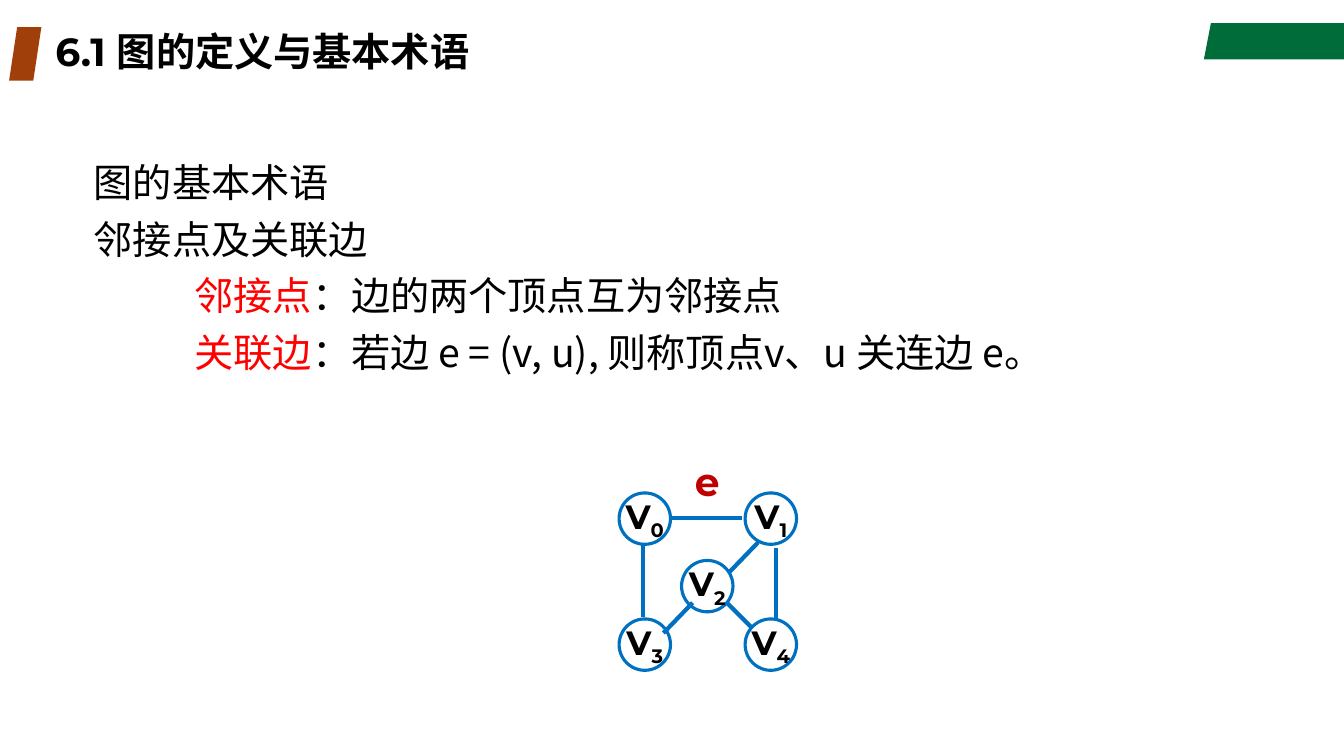
"""Build the slide on adjacent vertices and incident edges of a graph."""
from dataclasses import dataclass

from lxml.etree import SubElement
from pptx import Presentation
from pptx.dml.color import RGBColor
from pptx.enum.shapes import MSO_CONNECTOR as CONN, MSO_SHAPE as SHAPE
from pptx.enum.text import MSO_ANCHOR as ANCHOR, MSO_AUTO_SIZE as FIT, PP_ALIGN as ALIGN
from pptx.oxml.ns import qn
from pptx.util import Inches, Pt

BLACK = RGBColor(0x00, 0x00, 0x00)
RED = RGBColor(0xFF, 0x00, 0x00)
CRIMSON = RGBColor(0xC0, 0x00, 0x00)
BLUE = RGBColor(0x00, 0x70, 0xC0)
GREEN = RGBColor(0x00, 0x6C, 0x39)
BROWN = RGBColor(0xA1, 0x3F, 0x0B)
LATIN, CJK = "Montserrat", "Noto Sans CJK SC"
NODE_SIZE = 0.51


@dataclass
class Line:
    term: str
    text: str
    indent: float = 0


@dataclass
class Node:
    index: str
    left: float
    top: float


@dataclass
class Edge:
    x1: float
    y1: float
    x2: float
    y2: float


LINES = [
    Line("", "图的基本术语"),
    Line("", "邻接点及关联边"),
    Line("邻接点", "：边的两个顶点互为邻接点", 1),
    Line("关联边", "：若边 e = (v, u), 则称顶点v、u 关连边 e。", 1),
]
NODES = [
    Node("0", 6.14, 4.89),
    Node("1", 7.39, 4.89),
    Node("2", 6.76, 5.56),
    Node("3", 6.14, 6.14),
    Node("4", 7.39, 6.14),
]
EDGES = [
    Edge(6.38, 5.4, 6.38, 6.12),
    Edge(6.67, 5.14, 7.36, 5.14),
    Edge(7.7, 5.44, 7.7, 6.16),
    Edge(6.87, 5.98, 6.58, 6.28),
    Edge(7.52, 5.38, 7.23, 5.68),
    Edge(7.2, 5.97, 7.46, 6.23),
]


def place(sp, left: float, top: float, width: float, height: float) -> None:
    sp.left, sp.top = Inches(left), Inches(top)
    sp.width, sp.height = Inches(width), Inches(height)


def style(r, size: int, color: RGBColor, font: str = LATIN, bold: bool = True) -> None:
    r.font.size, r.font.bold, r.font.name = Pt(size), bold, font
    r.font.color.rgb = color
    SubElement(r.font._element, qn("a:ea")).set("typeface", CJK)


def paint(sp, color: RGBColor) -> None:
    sp.fill.solid()
    sp.fill.fore_color.rgb = color
    sp.line.fill.background()
    sp.shadow.inherit = False


def add_decor(shapes) -> None:
    builder = shapes.build_freeform(Inches(12.01), Inches(0.23))
    corners = [(13.33, 0.23), (13.33, 0.59), (11.94, 0.59)]
    builder.add_line_segments([(Inches(x), Inches(y)) for x, y in corners])
    paint(builder.convert_to_shape(), GREEN)
    tab = shapes.add_shape(SHAPE.PARALLELOGRAM, Inches(0.09), Inches(0.27), Inches(0.32), Inches(0.53))
    tab.adjustments[0] = 0.25
    paint(tab, BROWN)


def fill_title(sp) -> None:
    place(sp, 0.45, 0.27, 9.45, 0.53)
    tf = sp.text_frame
    tf.text = "6.1 图的定义与基本术语"
    tf.auto_size, tf.vertical_anchor = FIT.NONE, ANCHOR.MIDDLE
    p = tf.paragraphs[0]
    p.alignment, p.line_spacing = ALIGN.LEFT, 0.9
    style(p.runs[0], 28, BLACK)


def fill_body(sp) -> None:
    place(sp, 0.83, 1.43, 11.5, 2.91)
    tf = sp.text_frame
    tf.auto_size = FIT.NONE
    for i, line in enumerate(LINES):
        p = tf.paragraphs[0] if i == 0 else tf.add_paragraph()
        p.line_spacing, p.space_before = 1.2, Pt(0)
        pPr = p._p.get_or_add_pPr()
        pPr.set("marL", str(Inches(line.indent)))
        pPr.set("indent", "0")
        SubElement(pPr, qn("a:buNone"))
        for text, color in ((line.term, RED), (line.text, BLACK)):
            if text:
                r = p.add_run()
                r.text = text
                style(r, 28, color, CJK, False)


def add_edge(shapes, edge: Edge) -> None:
    ends = [Inches(v) for v in (edge.x1, edge.y1, edge.x2, edge.y2)]
    line = shapes.add_connector(CONN.STRAIGHT, *ends)
    line.line.color.rgb, line.line.width = BLUE, Pt(3)
    SubElement(line._element.spPr, qn("a:effectLst"))


def add_node(shapes, node: Node) -> None:
    size = Inches(NODE_SIZE)
    sp = shapes.add_shape(SHAPE.OVAL, Inches(node.left), Inches(node.top), size, size)
    sp.fill.background()
    sp.line.color.rgb, sp.line.width = BLUE, Pt(2.25)
    sp.shadow.inherit = False
    tf = sp.text_frame
    tf.word_wrap, tf.vertical_anchor = False, ANCHOR.MIDDLE
    p = tf.paragraphs[0]
    p.alignment = ALIGN.CENTER
    for text in ("V", node.index):
        r = p.add_run()
        r.text = text
        style(r, 24, BLACK)
    p.runs[1].font._element.set("baseline", "-25000")


def add_edge_label(shapes) -> None:
    sp = shapes.add_textbox(Inches(6.77), Inches(4.49), Inches(0.49), Inches(0.57))
    tf = sp.text_frame
    tf.text = "e"
    tf.word_wrap = True
    p = tf.paragraphs[0]
    p.alignment = ALIGN.CENTER
    style(p.runs[0], 28, CRIMSON)


def main() -> None:
    prs = Presentation()
    prs.slide_width, prs.slide_height = Inches(13.33), Inches(7.5)
    slide = prs.slides.add_slide(prs.slide_layouts[1])
    shapes = slide.shapes
    add_decor(shapes)
    fill_title(shapes.title)
    fill_body(slide.placeholders[1])
    add_edge_label(shapes)
    for edge in EDGES:
        add_edge(shapes, edge)
    for node in NODES:
        add_node(shapes, node)
    prs.save("out.pptx")


if __name__ == "__main__":
    main()
